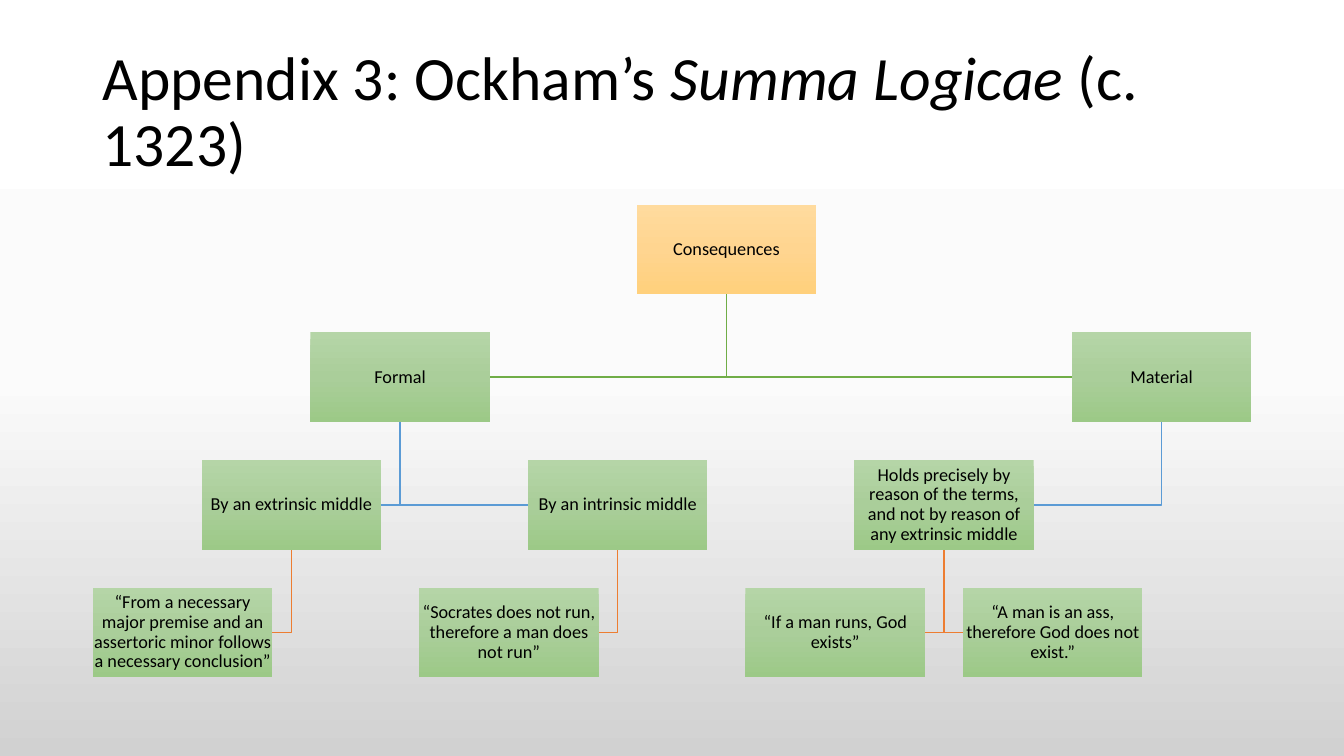
import pptx
import pptx.dml.color
import pptx.enum.shapes
import pptx.enum.text
import pptx.oxml
import pptx.oxml.ns
import pptx.util

Inches = pptx.util.Inches
Pt = pptx.util.Pt
PP_ALIGN = pptx.enum.text.PP_ALIGN

COLORS = {
    "text": "000000",
    "level 1": "70AD47",
    "level 2": "5B9BD5",
    "level 3": "ED7D31",
}
GRADIENTS = {
    "background": {0: "FFFFFF", 50: "FBFBFB", 100: "D1D1D1"},
    "root": {0: "FFDB9E", 50: "FFD590", 100: "FFD07C"},
    "branch": {0: "B5D5A7", 50: "AACE9A", 100: "9CC987"},
}

# Tree grid
BOX_WIDTH, BOX_HEIGHT = 1.78, 0.89
LEFT, TOP = 0.92, 2.03
COLUMN_STEP = (10.63 - LEFT) / 9
ROW_STEP = (5.83 - TOP) / 3

# Each node: text, column, level, parent
NODES = {
    "root": ("Consequences", 5, 0, None),
    "formal": ("Formal", 2, 1, "root"),
    "extrinsic": ("By an extrinsic middle", 1, 2, "formal"),
    "necessary": ("“From a necessary major premise and an assertoric minor "
                  "follows a necessary conclusion”", 0, 3, "extrinsic"),
    "intrinsic": ("By an intrinsic middle", 4, 2, "formal"),
    "socrates": ("“Socrates does not run, therefore a man does not run”",
                 3, 3, "intrinsic"),
    "material": ("Material", 9, 1, "root"),
    "terms": ("Holds precisely by reason of the terms, and not by reason of "
              "any extrinsic middle", 7, 2, "material"),
    "man runs": ("“If a man runs, God exists”", 6, 3, "terms"),
    "man ass": ("“A man is an ass, therefore God does not exist.”",
                8, 3, "terms"),
}


def apply_format(target, values):
    for attribute, value in values.items():
        setattr(target, attribute, value)


def rgb(name):
    return pptx.dml.color.RGBColor.from_string(COLORS[name])


def node_corner(name):
    _, column, level, _ = NODES[name]
    return LEFT + column * COLUMN_STEP, TOP + level * ROW_STEP


class TreeSlide:
    font_name = "Calibri"

    def __init__(self, slide):
        self.slide = slide

    def gradient(self, fill, element, stops):
        fill.gradient()
        fill.gradient_angle = 270
        stop_list = next(element.iter(pptx.oxml.ns.qn("a:gsLst")))
        for stop in list(stop_list):
            stop_list.remove(stop)
        for position, color in stops.items():
            stop_list.append(pptx.oxml.parse_xml(
                f'<a:gs {pptx.oxml.ns.nsdecls("a")} pos="{position * 1000}">'
                f'<a:srgbClr val="{color}"/></a:gs>'))

    def background(self):
        self.gradient(self.slide.background.fill, self.slide.element,
                      GRADIENTS["background"])

    def set_text(self, frame, runs, size, align, margins=None):
        apply_format(frame, {
            "word_wrap": True,
            "vertical_anchor": pptx.enum.text.MSO_ANCHOR.MIDDLE,
            **(margins or {}),
        })
        paragraph = frame.paragraphs[0]
        apply_format(paragraph, {"alignment": align, "line_spacing": 0.9})
        for text, italic in runs:
            run = paragraph.add_run()
            run.text = text
            apply_format(run.font, {"name": self.font_name, "size": Pt(size),
                                    "italic": italic})
            run.font.color.rgb = rgb("text")

    def title(self, runs):
        heading = self.slide.shapes.add_textbox(
            Inches(0.92), Inches(0.4), Inches(11.5), Inches(1.45))
        self.set_text(heading.text_frame, runs, 44, PP_ALIGN.LEFT)

    def branch_line(self, parent, child):
        parent_left, parent_top = node_corner(parent)
        child_left, child_top = node_corner(child)
        stem_x = parent_left + BOX_WIDTH / 2
        elbow_y = child_top + BOX_HEIGHT / 2
        # The line meets the side of the child that faces its parent
        end_x = child_left + (BOX_WIDTH if child_left < parent_left else 0)
        builder = self.slide.shapes.build_freeform(
            Inches(stem_x), Inches(parent_top + BOX_HEIGHT))
        builder.add_line_segments(
            [(Inches(stem_x), Inches(elbow_y)),
             (Inches(end_x), Inches(elbow_y))], close=False)
        elbow = builder.convert_to_shape()
        elbow.shadow.inherit = False
        elbow.fill.background()
        elbow.line.color.rgb = rgb(f"level {NODES[child][2]}")
        elbow.line.width = Pt(1)

    def node(self, name):
        text, _, level, _ = NODES[name]
        left, top = node_corner(name)
        box = self.slide.shapes.add_shape(
            pptx.enum.shapes.MSO_SHAPE.RECTANGLE, Inches(left), Inches(top),
            Inches(BOX_WIDTH), Inches(BOX_HEIGHT))
        box.shadow.inherit = False
        box.line.fill.background()
        self.gradient(box.fill, box.element,
                      GRADIENTS["branch" if level else "root"])
        margins = {f"margin_{side}": Inches(0.01)
                   for side in ("left", "top", "right", "bottom")}
        self.set_text(box.text_frame, [(text, False)], 13, PP_ALIGN.CENTER,
                      margins)


def main():
    presentation = pptx.Presentation()
    apply_format(presentation, {"slide_width": Inches(13.33),
                                "slide_height": Inches(7.5)})
    tree = TreeSlide(presentation.slides.add_slide(
        presentation.slide_layouts[6]))

    # Background and title
    tree.background()
    tree.title([("Appendix 3: Ockham’s ", False), ("Summa Logicae", True),
                (" (c. 1323)", False)])

    # Lines go behind the boxes
    for name, (_, _, _, parent) in reversed(NODES.items()):
        if parent:
            tree.branch_line(parent, name)
    for name in NODES:
        tree.node(name)

    presentation.save("out.pptx")


if __name__ == "__main__":
    main()
